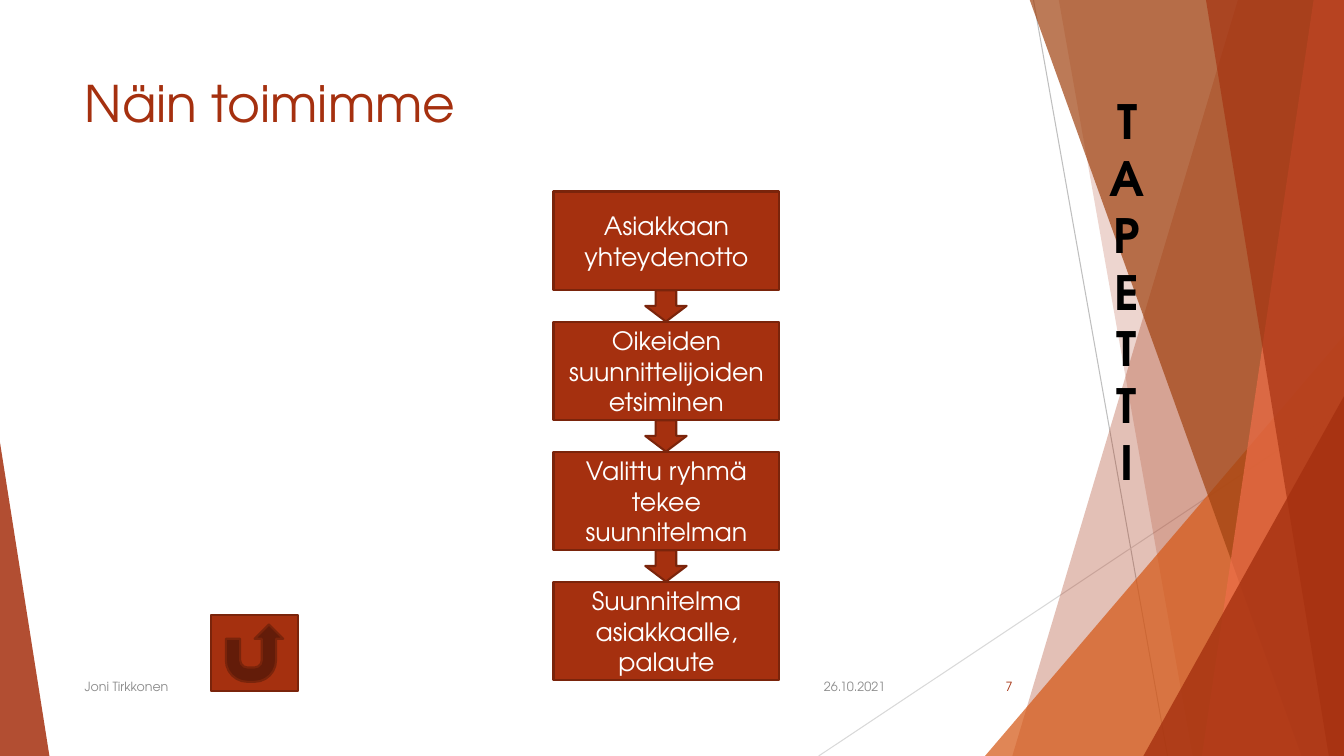
from lxml import etree
from pptx import Presentation
from pptx.dml.color import RGBColor
from pptx.enum.shapes import MSO_CONNECTOR, MSO_SHAPE
from pptx.enum.text import MSO_ANCHOR, PP_ALIGN
from pptx.oxml.ns import qn
from pptx.util import Pt

LEFT, CENTER, RIGHT = PP_ALIGN.LEFT, PP_ALIGN.CENTER, PP_ALIGN.RIGHT
TOP, MIDDLE = MSO_ANCHOR.TOP, MSO_ANCHOR.MIDDLE
RECTANGLE, DOWN_ARROW = MSO_SHAPE.RECTANGLE, MSO_SHAPE.DOWN_ARROW
TRIANGLE, RETURN_BUTTON = MSO_SHAPE.ISOSCELES_TRIANGLE, MSO_SHAPE.ACTION_BUTTON_RETURN
STRAIGHT = MSO_CONNECTOR.STRAIGHT

# Content
TITLE = "Näin toimimme"
BANNER = "TAPETTI"
STEPS = [
    "Asiakkaan yhteydenotto",
    "Oikeiden suunnittelijoiden etsiminen",
    "Valittu ryhmä tekee suunnitelman",
    "Suunnitelma asiakkaalle, palaute",
]
FOOTERS = [  # text, left, width, alignment, colour
    ("26.10.2021", 788, 100, RIGHT, "muted"),
    ("Joni Tirkkonen", 74, 689, LEFT, "muted"),
    ("7", 939, 75, RIGHT, "accent"),
]

# Theme and geometry: 100 px to the inch
THEME = {
    "font": "TeX Gyre Adventor",
    "colors": {
        "accent": "A5300F", "edge": "7A240B", "orange": "D55816", "brown": "A04210",
        "coral": "EE6E4A", "muted": "8C8C8C", "black": "000000", "white": "FFFFFF",
        "gray": "BFBFBF", "pale": "D9D9D9",
    },
    "sizes": {"title": 36, "banner": 33.8, "step": 18, "footer": 9},
}
SCALE = 9144
PAGE_WIDTH, PAGE_HEIGHT = 1333, 750
RAYS = [((1025, 0), (1158, 750), "gray"), ((1333, 403), (812, 750), "pale")]
# Bands reach the right edge: ("band", top left x, bottom left x, colour, opacity)
# Wedges are right triangles: ("wedge", frame, apex position, colour, opacity)
FACETS = [
    ("band", 1228, 1004, "accent", 30),
    ("band", 1050, 1183, "accent", 20),
    ("wedge", (977, 333, 356, 417), 1, "orange", 72),
    ("band", 1021, 1291, "brown", 70),
    ("band", 1303, 1192, "coral", 70),
    ("band", 1196, 1318, "accent", 65),
    ("wedge", (1134, 393, 199, 357), 1, "accent", 80),
    ("wedge", (0, 439, 49, 311), 0, "accent", 85),
]
STEP_LEFT, STEP_TOP, STEP_WIDTH, STEP_HEIGHT = 549, 190, 224, 98
ARROW_WIDTH, ARROW_HEIGHT = 41, 31


def emu(*lengths):
    return [length * SCALE for length in lengths]


def color(name):
    return RGBColor.from_string(THEME["colors"][name])


def fill_shape(shape, fill, opacity=100, line=None):
    shape.shadow.inherit = False
    shape.fill.solid()
    shape.fill.fore_color.rgb = color(fill)
    if opacity < 100:
        tint = shape.fill._xPr.find(qn("a:solidFill"))[0]
        etree.SubElement(tint, qn("a:alpha"), val=str(opacity * 1000))
    if line:
        shape.line.color.rgb = color(line)
        shape.line.width = Pt(1.5)
    else:
        shape.line.fill.background()


def write(box, text, size, ink, align=LEFT, anchor=MIDDLE, bold=False):
    frame = box.text_frame
    frame.word_wrap = True
    frame.vertical_anchor = anchor
    para = frame.paragraphs[0]
    para.alignment = align
    span = para.add_run()
    span.text = text
    formats = {"name": THEME["font"], "size": Pt(THEME["sizes"][size]), "bold": bold}
    for attribute, value in formats.items():
        setattr(span.font, attribute, value)
    span.font.color.rgb = color(ink)
    return span


def add_block(shapes, kind, *frame):
    shape = shapes.add_shape(kind, *emu(*frame))
    fill_shape(shape, "accent", line="edge")
    return shape


def add_backdrop(shapes):
    for start, end, ink in RAYS:
        ray = shapes.add_connector(STRAIGHT, *emu(*start, *end))
        ray.line.color.rgb = color(ink)
        ray.line.width = Pt(0.75)
        etree.SubElement(ray._element.spPr, qn("a:effectLst"))
    for kind, first, second, fill, opacity in FACETS:
        if kind == "band":
            builder = shapes.build_freeform(first, -1, SCALE)
            builder.add_line_segments(
                [(PAGE_WIDTH, -1), (PAGE_WIDTH, PAGE_HEIGHT), (second, PAGE_HEIGHT)])
            facet = builder.convert_to_shape()
        else:
            facet = shapes.add_shape(TRIANGLE, *emu(*first))
            facet.adjustments[0] = second
        fill_shape(facet, fill, opacity)


def add_banner(shapes):
    box = shapes.add_textbox(*emu(1077, 24, 81, 530))
    span = write(box, BANNER, "banner", "black", CENTER, TOP, True)
    box.text_frame._txBody.bodyPr.set("vert", "wordArtVert")
    outline = etree.Element(qn("a:ln"), w=str(Pt(0.75)))
    paint = etree.SubElement(outline, qn("a:solidFill"))
    etree.SubElement(paint, qn("a:srgbClr"), val=THEME["colors"]["white"])
    span.font._element.insert(0, outline)


def add_steps(shapes):
    arrow_left = STEP_LEFT + (STEP_WIDTH - ARROW_WIDTH) / 2
    for index, text in enumerate(STEPS):
        top = STEP_TOP + index * (STEP_HEIGHT + ARROW_HEIGHT)
        if index:
            add_block(shapes, DOWN_ARROW, int(arrow_left), top - ARROW_HEIGHT,
                      ARROW_WIDTH, ARROW_HEIGHT)
        step = add_block(shapes, RECTANGLE, STEP_LEFT, top, STEP_WIDTH, STEP_HEIGHT)
        write(step, text, "step", "white", CENTER)


def main():
    deck = Presentation()
    deck.slide_width, deck.slide_height = emu(PAGE_WIDTH, PAGE_HEIGHT)
    page = deck.slides.add_slide(deck.slide_layouts[5])
    shapes = page.shapes

    # Backdrop and vertical banner
    add_backdrop(shapes)
    add_banner(shapes)

    # Title and footer
    title = shapes.title
    title.left, title.top, title.width, title.height = emu(74, 67, 940, 144)
    write(title, TITLE, "title", "accent", anchor=TOP)
    for text, left, width, align, ink in FOOTERS:
        box = shapes.add_textbox(*emu(left, 661, width, 40))
        write(box, text, "footer", ink, align)

    # Process flow and return button
    add_steps(shapes)
    add_block(shapes, RETURN_BUTTON, 209, 610, 87, 76)
    deck.save("out.pptx")


if __name__ == "__main__":
    main()
